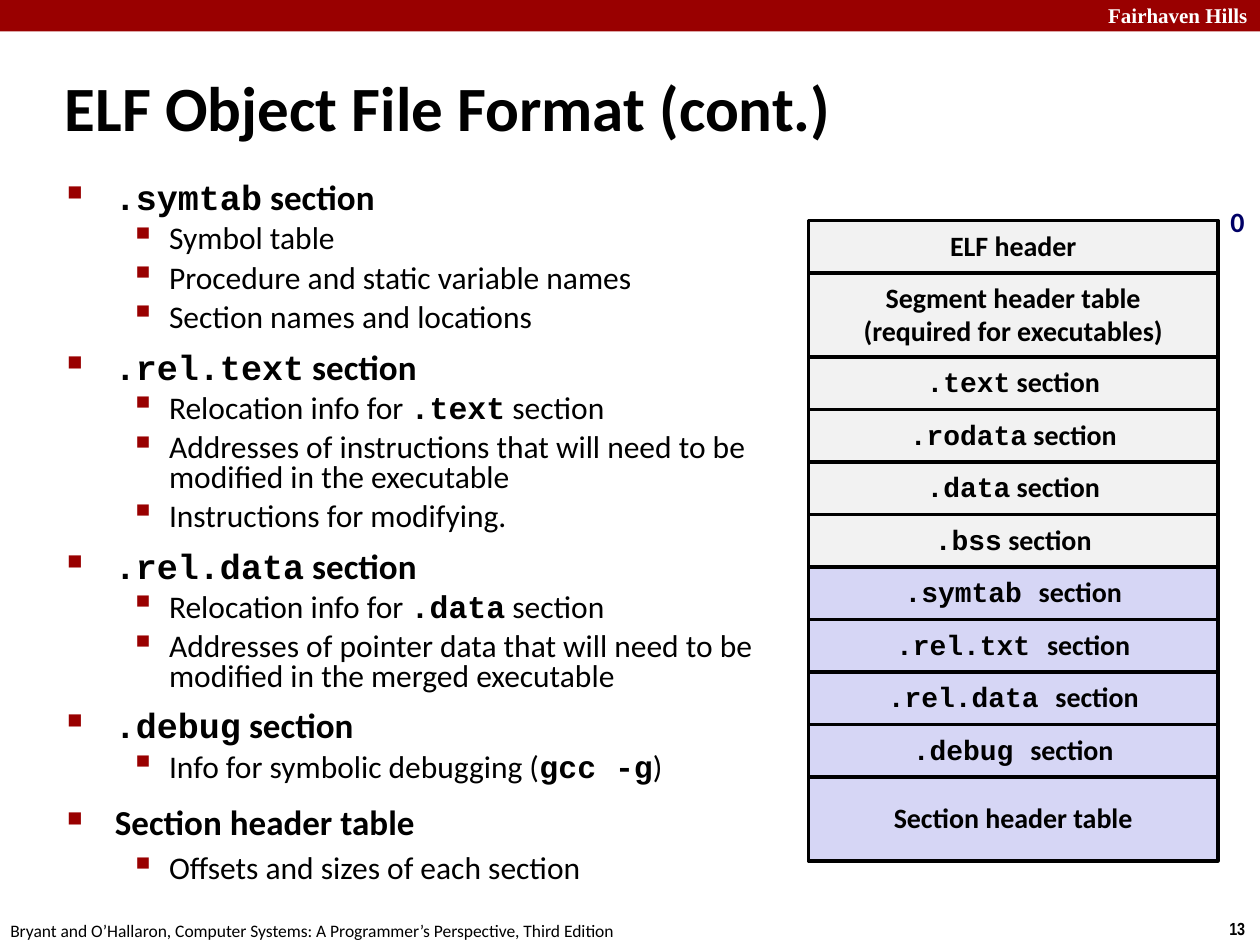
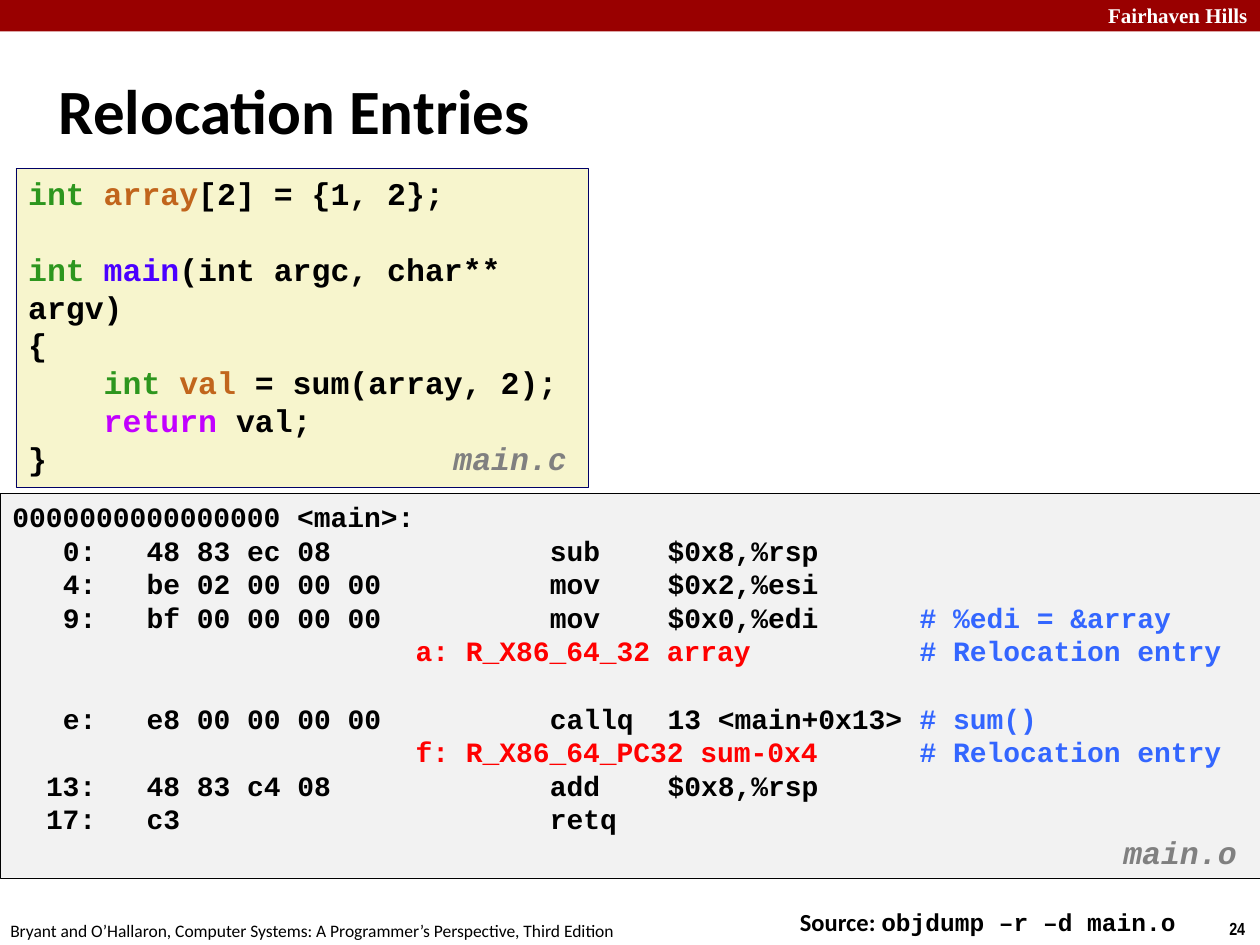
import pptx
import pptx.util
import pptx.dml.color
import pptx.enum.shapes
import pptx.enum.text
import lxml.etree
from dataclasses import dataclass

Pt = pptx.util.Pt
Inches = pptx.util.Inches
ALIGN = pptx.enum.text.PP_ALIGN
ANCHOR = pptx.enum.text.MSO_ANCHOR


@dataclass(frozen=True)
class Theme:
    sans: str = "Calibri"
    mono: str = "Courier New"
    serif: str = "Times New Roman"
    narrow: str = "Arial Narrow"
    ink: str = "000000"
    white: str = "FFFFFF"
    red: str = "990000"
    navy: str = "000066"
    gray: str = "F2F2F2"
    lilac: str = "D6D6F5"
    cream: str = "F7F5CD"
    title_size: int = 36
    head_size: int = 20
    body_size: int = 18
    cell_size: int = 16
    source_size: int = 14
    brand_size: int = 12
    footer_size: int = 10
    code_leading: float = 1.2
    mono_advance: float = 0.6


THEME = Theme()

STYLES = {
    "plain": (THEME.sans, THEME.ink, False, False),
    "bold": (THEME.sans, THEME.ink, True, False),
    "navy": (THEME.sans, THEME.navy, True, False),
    "brand": (THEME.serif, THEME.white, True, False),
    "page": (THEME.narrow, THEME.ink, True, False),
    "code": (THEME.mono, THEME.ink, True, False),
    "type": (THEME.mono, "2D961E", True, False),
    "variable": (THEME.mono, "C1651C", True, False),
    "function": (THEME.mono, "4A00FF", True, False),
    "keyword": (THEME.mono, "C200FF", True, False),
    "relocation": (THEME.mono, "FF0000", True, False),
    "comment": (THEME.mono, "3366FF", True, False),
    "file": (THEME.mono, "808080", True, True),
}

BRAND = "Fairhaven Hills"
FOOTER = "Bryant and O’Hallaron, Computer Systems: A Programmer’s Perspective, Third Edition"

TIGHT_HEAD, TIGHT_ITEM, LOOSE = 0.71, 0.78, 0.88
OUTLINE = [
    ([(".symtab", "code"), (" section", "bold")], TIGHT_HEAD, TIGHT_ITEM, [
        [("Symbol table", "plain")],
        [("Procedure and static variable names", "plain")],
        [("Section names and locations", "plain")],
    ]),
    ([(".rel.text", "code"), (" section", "bold")], TIGHT_HEAD, TIGHT_ITEM, [
        [("Relocation info for ", "plain"), (".text", "code"), (" section", "plain")],
        [("Addresses of instructions that will need to be modified in the executable", "plain")],
        [("Instructions for modifying.", "plain")],
    ]),
    ([(".rel.data", "code"), (" section", "bold")], TIGHT_HEAD, TIGHT_ITEM, [
        [("Relocation info for ", "plain"), (".data", "code"), (" section", "plain")],
        [("Addresses of pointer data that will need to be modified in the merged executable", "plain")],
    ]),
    ([(".debug", "code"), (" section", "bold")], TIGHT_HEAD, TIGHT_ITEM, [
        [("Info for symbolic debugging (", "plain"), ("gcc -g", "code"), (")", "plain")],
    ]),
    ([("Section header table", "bold")], LOOSE, LOOSE, [
        [("Offsets and sizes of each section", "plain")],
    ]),
]

ELF_LAYOUT = [
    (5, THEME.gray, [[("ELF header", "bold")]]),
    (8, THEME.gray, [[("Segment header table", "bold")], [("(required for executables)", "bold")]]),
    (5, THEME.gray, [[(".text", "code"), (" section", "bold")]]),
    (5, THEME.gray, [[(".rodata", "code"), (" section", "bold")]]),
    (5, THEME.gray, [[(".data", "code"), (" section", "bold")]]),
    (5, THEME.gray, [[(".bss", "code"), (" section", "bold")]]),
    (5, THEME.lilac, [[(".symtab ", "code"), ("section", "bold")]]),
    (5, THEME.lilac, [[(".rel.txt ", "code"), ("section", "bold")]]),
    (5, THEME.lilac, [[(".rel.data ", "code"), ("section", "bold")]]),
    (5, THEME.lilac, [[(".debug ", "code"), ("section", "bold")]]),
    (8, THEME.lilac, [[("Section header table", "bold")]]),
]

SOURCE_CODE = [
    (0, 0, [("int ", "type"), ("array", "variable"), ("[2] = {1, 2};", "code")]),
    (0, 1, [("int ", "type"), ("main", "function"), ("(int argc, char** argv)", "code")]),
    (0, 0, [("{", "code")]),
    (4, 0, [("int ", "type"), ("val", "variable"), (" = sum(array, 2);", "code")]),
    (4, 0, [("return", "keyword"), (" val;", "code")]),
    (0, 0, [("}", "code")]),
]

LISTING_HEAD = "0000000000000000 <main>:"
LISTING_COLUMNS = [
    (5, "r", "code"), (8, "l", "code"), (24, "l", "relocation"),
    (32, "l", "code"), (39, "l", "code"), (54, "l", "comment"),
]
LISTING = [
    (0, ("0:", "48 83 ec 08", "", "sub", "$0x8,%rsp", "")),
    (0, ("4:", "be 02 00 00 00", "", "mov", "$0x2,%esi", "")),
    (0, ("9:", "bf 00 00 00 00", "", "mov", "$0x0,%edi", "# %edi = &array")),
    (0, ("", "", "a: R_X86_64_32 array", "", "", "# Relocation entry")),
    (1, ("e:", "e8 00 00 00 00", "", "callq", "13 <main+0x13>", "# sum()")),
    (0, ("", "", "f: R_X86_64_PC32 sum-0x4", "", "", "# Relocation entry")),
    (0, ("13:", "48 83 c4 08", "", "add", "$0x8,%rsp", "")),
    (0, ("17:", "c3", "", "retq", "", "")),
]

presentation = pptx.Presentation()
presentation.slide_width = Inches(10)
presentation.slide_height = Inches(7.5)
COLUMN = presentation.slide_width / 120
ROW = presentation.slide_height / 90


def color(value):
    return pptx.dml.color.RGBColor.from_string(value)


def place(box):
    left, top, width, height = box
    return round(left * COLUMN), round(top * ROW), round(width * COLUMN), round(height * ROW)


def add_box(slide, box, fill, line=None, line_width=0):
    shape = slide.shapes.add_shape(pptx.enum.shapes.MSO_SHAPE.RECTANGLE, *place(box))
    shape.shadow.inherit = False
    shape.fill.solid()
    shape.fill.fore_color.rgb = color(fill)
    if line:
        shape.line.color.rgb = color(line)
        shape.line.width = Pt(line_width)
    else:
        shape.line.fill.background()
    return shape


def add_text(slide, box, runs, size, wrap=False, spacing=None, align=ALIGN.LEFT):
    shape = slide.shapes.add_textbox(*place(box))
    shape.text_frame.word_wrap = wrap
    if runs:
        write(shape.text_frame.paragraphs[0], runs, size, spacing, align)
    return shape


def write(paragraph, runs, size, spacing=None, align=ALIGN.LEFT):
    paragraph.alignment = align
    if spacing:
        paragraph.line_spacing = spacing
    for text, style in runs:
        run = paragraph.add_run()
        run.text = text
        name, ink, bold, italic = STYLES[style]
        font = run.font
        font.name, font.size, font.bold, font.italic = name, Pt(size), bold, italic
        font.color.rgb = color(ink)


def next_paragraph(text_frame):
    first = text_frame.paragraphs[0]
    return text_frame.add_paragraph() if first.runs else first


def add_element(parent, tag, **attributes):
    element = lxml.etree.SubElement(parent, pptx.oxml.ns.qn("a:" + tag))
    for name, value in attributes.items():
        element.set(name, str(value))
    return element


def set_bullet(paragraph, character, percent, margin, hanging):
    properties = paragraph._p.get_or_add_pPr()
    properties.set("marL", str(Inches(margin)))
    properties.set("indent", str(-Inches(hanging)))
    add_element(add_element(properties, "buClr"), "srgbClr", val=THEME.red)
    add_element(properties, "buSzPct", val=percent * 1000)
    add_element(properties, "buChar", char=character)


def code_width(characters, size):
    return Pt(characters * size * THEME.mono_advance)


def write_code(paragraph, runs, size, blank_lines=0):
    leading = Pt(size * THEME.code_leading)
    write(paragraph, runs, size, leading)
    paragraph.space_before = blank_lines * leading


def add_slide(title, title_box, number, title_spacing=None):
    slide = presentation.slides.add_slide(presentation.slide_layouts[6])
    add_box(slide, (0, 0, 120, 3), THEME.red)
    add_text(slide, (100, -0.3, 20, 3.6), [(BRAND, "brand")], THEME.brand_size, True, align=ALIGN.RIGHT)
    add_text(slide, (115.9, 86.8, 4.1, 3.2), [(number, "page")], THEME.footer_size)
    add_text(slide, (-0.2, 87, 61, 3.2), [(FOOTER, "plain")], THEME.footer_size)
    heading = add_text(slide, title_box, [(title, "bold")], THEME.title_size, True, title_spacing)
    heading.text_frame.vertical_anchor = ANCHOR.MIDDLE
    return slide


def add_outline(slide):
    text_frame = add_text(slide, (5.2, 17.2, 69.2, 71.8), [], 0, True).text_frame
    for head, head_spacing, item_spacing, items in OUTLINE:
        paragraph = next_paragraph(text_frame)
        write(paragraph, head, THEME.head_size, head_spacing)
        paragraph.space_before = Pt(12.5)
        set_bullet(paragraph, "■", 60, 0.38, 0.38)
        for item in items:
            paragraph = next_paragraph(text_frame)
            write(paragraph, item, THEME.body_size, item_spacing)
            paragraph.level = 1
            paragraph.space_before = Pt(5.6)
            set_bullet(paragraph, "▪", 110, 0.81, 0.31)


def add_elf_layout(slide):
    top = 21
    for height, fill, lines in ELF_LAYOUT:
        shape = add_box(slide, (77, top, 39, height), fill, THEME.ink, 2)
        text_frame = shape.text_frame
        text_frame.word_wrap = False
        text_frame.vertical_anchor = ANCHOR.MIDDLE
        for runs in lines:
            spacing = 0.94 if runs[0][1] == "code" else 0.98
            write(next_paragraph(text_frame), runs, THEME.cell_size, spacing, ALIGN.CENTER)
        top += height
    add_text(slide, (116, 19, 3.7, 4.4), [("0", "navy")], THEME.cell_size, spacing=0.98)


def add_code_box(slide, box, fill, line, file_name, file_box):
    shape = add_box(slide, box, fill, line, 0.26)
    shape.text_frame.word_wrap = True
    shape.text_frame.vertical_anchor = ANCHOR.TOP
    add_text(slide, file_box, [(file_name, "file")], THEME.body_size, spacing=0.94)
    return shape.text_frame


def add_listing(slide):
    size = THEME.cell_size
    text_frame = add_code_box(slide, (0, 47, 120, 36.6), THEME.gray, THEME.ink,
                              "main.o", (105.8, 79, 14, 4.7))
    write_code(text_frame.paragraphs[0], [(LISTING_HEAD, "code")], size)
    for blank_lines, cells in LISTING:
        used = [(text, column) for text, column in zip(cells, LISTING_COLUMNS) if text]
        paragraph = text_frame.add_paragraph()
        write_code(paragraph, [("\t" + text, column[2]) for text, column in used], size, blank_lines)
        tabs = add_element(paragraph._p.get_or_add_pPr(), "tabLst")
        for text, (position, side, style) in used:
            add_element(tabs, "tab", pos=code_width(position, size), algn=side)


def add_source_code(slide):
    size = THEME.body_size
    text_frame = add_code_box(slide, (1.5, 16, 54.5, 30.4), THEME.cream, THEME.navy,
                              "main.c", (42, 41.5, 14, 4.7))
    for indent, blank_lines, runs in SOURCE_CODE:
        paragraph = next_paragraph(text_frame)
        write_code(paragraph, runs, size, blank_lines)
        paragraph._p.get_or_add_pPr().set("marL", str(code_width(indent, size)))


format_slide = add_slide("ELF Object File Format (cont.)", (5, 5, 114.4, 10.3), "13")
add_outline(format_slide)
add_elf_layout(format_slide)

entries_slide = add_slide("Relocation Entries", (4.4, 5.9, 114.4, 10.3), "24", 0.82)
add_text(entries_slide, (75, 85.9, 38.5, 4.1),
         [("Source: ", "bold"), ("objdump –r –d main.o", "code")], THEME.source_size, spacing=0.98)
add_listing(entries_slide)
add_source_code(entries_slide)

presentation.save("out.pptx")
